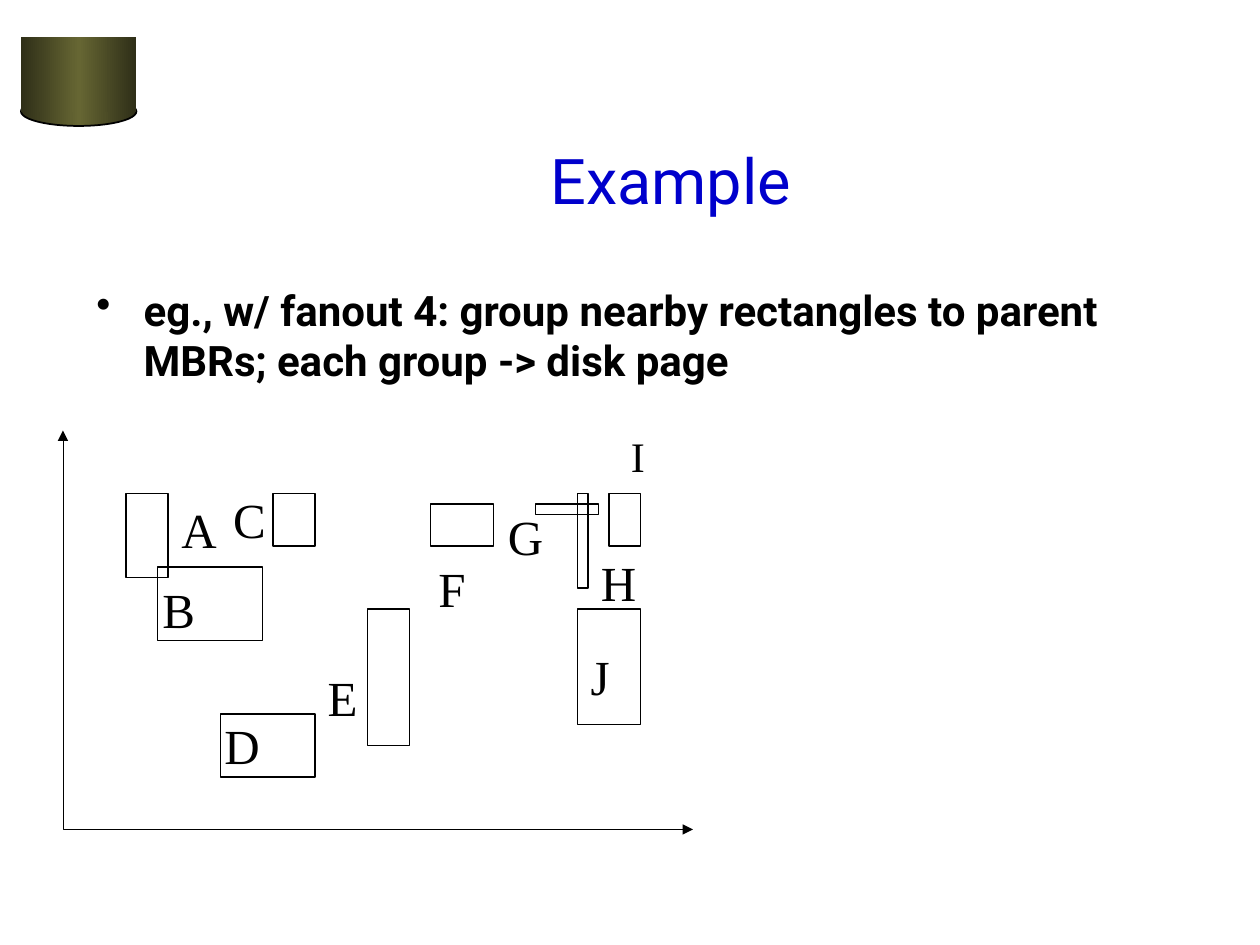
import copy
from dataclasses import dataclass

import pptx
import pptx.dml.color
import pptx.enum.dml
import pptx.enum.shapes
import pptx.enum.text
import pptx.oxml
import pptx.oxml.ns
import pptx.util

Pt = pptx.util.Pt
RGB = pptx.dml.color.RGBColor.from_string
Shape = pptx.enum.shapes.MSO_SHAPE
Align = pptx.enum.text.PP_ALIGN
Anchor = pptx.enum.text.MSO_ANCHOR
AutoSize = pptx.enum.text.MSO_AUTO_SIZE


@dataclass(frozen=True)
class Theme:
    ink: str = "000000"
    title_color: str = "0000CC"
    drum_edge: str = "2F2F18"
    drum_middle: str = "666633"
    heading_font: str = "Roboto"
    label_font: str = "Times New Roman"
    title_size: float = 36
    body_size: float = 24
    label_size: float = 28
    small_label_size: float = 24
    outline: float = 0.75
    axis: float = 0.25
    drum_outline: float = 1


THEME = Theme()


@dataclass(frozen=True)
class Box:
    left: float
    top: float
    width: float
    height: float

    def lengths(self) -> tuple:
        return tuple(Pt(v) for v in (self.left, self.top, self.width, self.height))


@dataclass(frozen=True)
class Label:
    text: str
    left: float
    top: float
    width: float


# Data rectangles, on a 6 pt grid
RECTANGLES = [
    Box(72, 282, 24, 48),
    Box(156, 282, 24, 30),
    Box(90, 324, 60, 42),
    Box(126, 408, 54, 36),
    Box(210, 348, 24, 78),
    Box(246, 288, 36, 24),
    Box(330, 348, 36, 66),
    Box(348, 282, 18, 30),
    Box(306, 288, 36, 6),
    Box(330, 282, 6, 54),
]

LABEL_HEIGHT = 41
LABELS = [
    Label("A", 96.5, 282, 34.5),
    Label("B", 85.7, 327.6, 33),
    Label("C", 126, 276, 33),
    Label("D", 121, 405.4, 34.5),
    Label("E", 180, 378, 31.5),
    Label("F", 243.4, 315.4, 29.5),
    Label("G", 283, 286, 34.5),
    Label("H", 336.2, 311.8, 34.5),
    Label("J", 330.5, 365.8, 25),
]


def apply_format(target, values: dict) -> None:
    for name, value in values.items():
        setattr(target, name, value)


def add_text(slide, text: str, box: Box, font: dict, color: str,
             frame: dict, alignment=Align.LEFT, bullet: bool = False) -> None:
    text_frame = slide.shapes.add_textbox(*box.lengths()).text_frame
    apply_format(text_frame, frame)
    paragraph = text_frame.paragraphs[0]
    paragraph.alignment = alignment
    if bullet:
        add_bullet(paragraph)
    run = paragraph.add_run()
    run.text = text
    apply_format(run.font, font)
    run.font.color.rgb = RGB(color)


def add_bullet(paragraph) -> None:
    properties = paragraph._p.get_or_add_pPr()
    properties.set("marL", str(Pt(27)))
    properties.set("indent", str(Pt(-27)))
    namespace = pptx.oxml.ns.nsdecls("a")
    for xml in (
        f'<a:buClr {namespace}><a:srgbClr val="{THEME.ink}"/></a:buClr>',
        f'<a:buChar {namespace} char="•"/>',
    ):
        properties.append(pptx.oxml.parse_xml(xml))


def set_line(shape, width: float) -> None:
    shape.shadow.inherit = False
    shape.line.color.rgb = RGB(THEME.ink)
    shape.line.width = Pt(width)


def add_rectangle(slide, box: Box) -> None:
    shape = slide.shapes.add_shape(Shape.RECTANGLE, *box.lengths())
    shape.fill.background()
    set_line(shape, THEME.outline)


def add_drum_part(group, kind, box: Box, outlined: bool) -> None:
    shape = group.shapes.add_shape(kind, *box.lengths())
    set_line(shape, THEME.drum_outline)
    if not outlined:
        shape.line.fill.background()
    shape.fill.gradient()
    shape.fill.gradient_angle = 0
    stop_list = shape._element.spPr.find(".//" + pptx.oxml.ns.qn("a:gsLst"))
    stop_list.insert(1, copy.deepcopy(stop_list[0]))
    colors = (THEME.drum_edge, THEME.drum_middle, THEME.drum_edge)
    for index, (stop, color) in enumerate(zip(shape.fill.gradient_stops, colors)):
        stop.position = index / 2
        stop.color.rgb = RGB(color)


def add_axes(slide) -> None:
    builder = slide.shapes.build_freeform(Pt(36), Pt(246))
    builder.add_line_segments([(Pt(36), Pt(474)), (Pt(396), Pt(474))], close=False)
    axes = builder.convert_to_shape()
    axes.fill.background()
    set_line(axes, THEME.axis)
    line = axes.line._get_or_add_ln()
    for end in ("headEnd", "tailEnd"):
        line.append(pptx.oxml.parse_xml(
            f'<a:{end} {pptx.oxml.ns.nsdecls("a")} type="triangle"/>'))


def main() -> None:
    presentation = pptx.Presentation()
    presentation.slide_width, presentation.slide_height = Pt(720), Pt(540)
    slide = presentation.slides.add_slide(presentation.slide_layouts[6])

    # Drum in the corner
    drum = slide.shapes.add_group_shape()
    add_drum_part(drum, Shape.OVAL, Box(12, 55.4, 66, 16.6), outlined=True)
    add_drum_part(drum, Shape.RECTANGLE, Box(12, 21.4, 66, 42.4), outlined=False)

    # Title and bullet
    add_text(slide, "Example", Box(106.5, 78, 553.5, 49),
             {"name": THEME.heading_font, "size": Pt(THEME.title_size)},
             THEME.title_color,
             {"word_wrap": True, "vertical_anchor": Anchor.MIDDLE}, Align.CENTER)
    add_text(slide,
             "eg., w/ fanout 4: group nearby rectangles to parent MBRs; "
             "each group -> disk page",
             Box(48, 159, 657.5, 324),
             {"name": THEME.heading_font, "size": Pt(THEME.body_size), "bold": True},
             THEME.ink, {"word_wrap": True}, bullet=True)

    # Rectangles and axes
    for box in RECTANGLES:
        add_rectangle(slide, box)
    add_axes(slide)

    # Rectangle names
    label_frame = {"word_wrap": False, "auto_size": AutoSize.SHAPE_TO_FIT_TEXT}
    for label in LABELS:
        add_text(slide, label.text,
                 Box(label.left, label.top, label.width, LABEL_HEIGHT),
                 {"name": THEME.label_font, "size": Pt(THEME.label_size)},
                 THEME.ink, {**label_frame, "vertical_anchor": Anchor.MIDDLE},
                 Align.CENTER)
    add_text(slide, "I", Box(353.5, 242.6, 22.4, 36),
             {"name": THEME.label_font, "size": Pt(THEME.small_label_size)},
             THEME.ink, label_frame)

    presentation.save("out.pptx")


if __name__ == "__main__":
    main()
